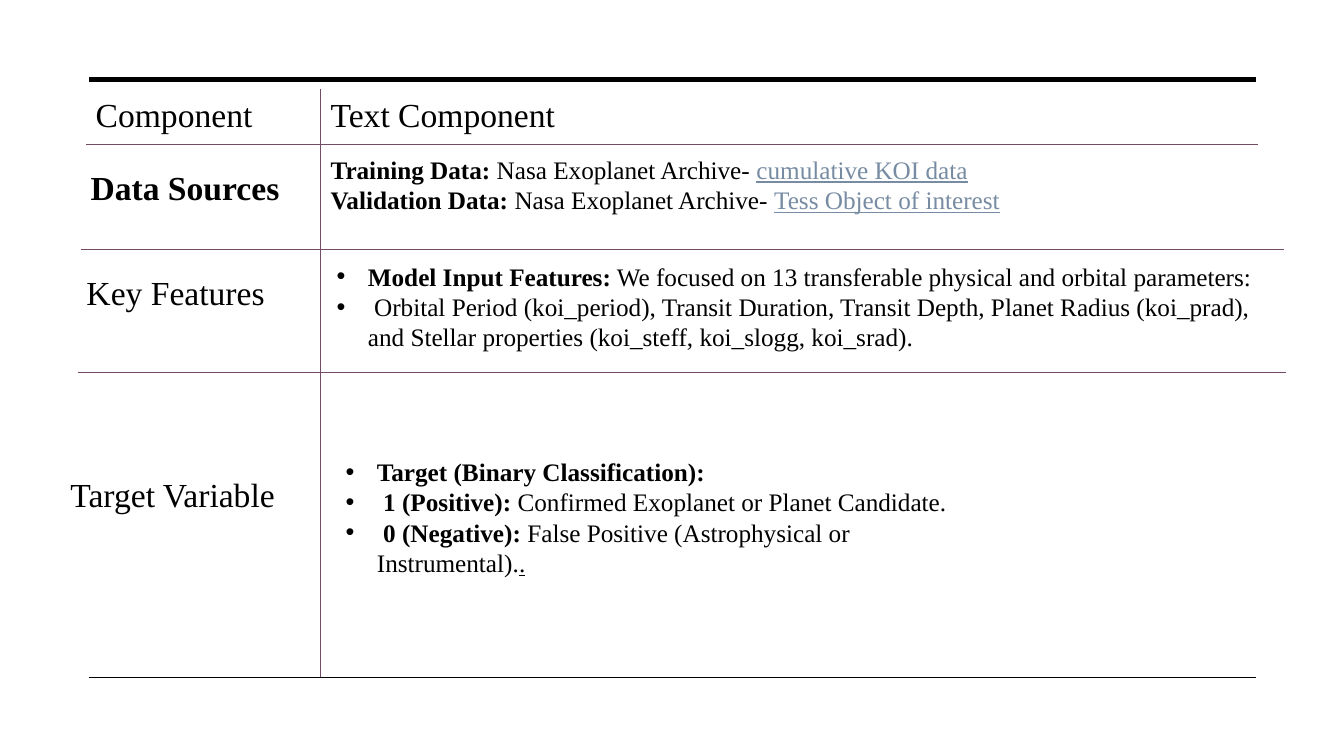
from lxml import etree
from pptx import Presentation
from pptx.dml.color import RGBColor
from pptx.enum.shapes import MSO_CONNECTOR
from pptx.enum.text import MSO_AUTO_SIZE
from pptx.oxml.ns import qn
from pptx.util import Inches, Pt

STRAIGHT = MSO_CONNECTOR.STRAIGHT
GROW = MSO_AUTO_SIZE.SHAPE_TO_FIT_TEXT
WIDTH, HEIGHT = Inches(13.33), Inches(7.5)
FONT = "Times New Roman"
BLACK, PLUM, LINK = "000000", "734B67", "778BA2"
SPLIT, TOP, END = 23.86, 11.73, 89.6
TITLE = 6.67

RULES = [
    (6.6, 10.53, 93.47, 10.53, BLACK, 3.5),
    (6.6, END, 93.47, END, BLACK, 1),
    (6.38, 19.07, 93.62, 19.07, PLUM, 0.5),
    (SPLIT, TOP, SPLIT, END, PLUM, 0.5),
    (6, 32.93, 95.5, 32.93, PLUM, 0.5),
    (5.78, 49.2, 95.65, 49.2, PLUM, 0.5),
]

HEADS = [
    ("Component", (6.38, TOP, 14.1, TITLE), ""),
    ("Text Component", (SPLIT, TOP, 23.33, TITLE), ""),
    ("Data Sources", (6, 21.47, 16.05, TITLE), "b"),
    ("Key Features", (5.7, 35.33, 16.28, TITLE), ""),
    ("Target Variable", (4.5, 62, 17.48, TITLE), ""),
]

SOURCES = [
    [("Training Data: ", "b"), ("Nasa Exoplanet Archive- ", ""),
     ("cumulative KOI data", "ul")],
    [("Validation Data: ", "b"), ("Nasa Exoplanet Archive- ", ""),
     ("Tess Object of interest", "ul")],
]

FEATURES = [
    [("Model Input Features:", "b"),
     (" We focused on 13 transferable physical and orbital parameters:", "")],
    [(" Orbital Period (koi_period), Transit Duration, Transit Depth, "
      "Planet Radius (koi_prad), and Stellar properties "
      "(koi_steff, koi_slogg, koi_srad).", "")],
]

TARGET = [
    [("Target (Binary Classification):", "b")],
    [(" ", ""), ("1 (Positive):", "b"),
     (" Confirmed Exoplanet or Planet Candidate.", "")],
    [(" ", ""), ("0 (Negative):", "b"),
     (" False Positive (Astrophysical or Instrumental).", ""), (".", "u")],
]


def color(code):
    """Turn a hex string into a colour."""
    return RGBColor.from_string(code)


def across(share):
    """Turn a percentage of the slide's width into a length."""
    return round(WIDTH * share / 100)


def down(share):
    """Turn a percentage of the slide's height into a length."""
    return round(HEIGHT * share / 100)


def add_rule(slide, x1, y1, x2, y2, tint, weight):
    """Draw a straight rule between two points."""
    rule = slide.shapes.add_connector(
        STRAIGHT, across(x1), down(y1), across(x2), down(y2))
    rule.line.color.rgb = color(tint)
    rule.line.width = Pt(weight)
    etree.SubElement(rule._element.spPr, qn("a:effectLst"))


def add_bullet(para):
    """Give a paragraph a hanging round bullet."""
    props = para._p.get_or_add_pPr()
    props.set("marL", str(Inches(0.31)))
    props.set("indent", str(Inches(-0.31)))
    etree.SubElement(props, qn("a:buFont")).set("typeface", "Arial")
    etree.SubElement(props, qn("a:buChar")).set("char", "•")


def add_text(slide, paras, area, size=18, bullet=False):
    """Write paragraphs of runs marked b (bold), u (underlined), l (link)."""
    left, top, width, height = area
    box = slide.shapes.add_textbox(
        across(left), down(top), across(width), down(height))
    frame = box.text_frame
    frame.word_wrap = True
    frame.auto_size = GROW
    for index, runs in enumerate(paras):
        para = frame.add_paragraph() if index else frame.paragraphs[0]
        if bullet:
            add_bullet(para)
        for text, marks in runs:
            run = para.add_run()
            run.text = text
            font = run.font
            font.name = FONT
            font.size = Pt(size)
            font.bold = "b" in marks
            font.underline = "u" in marks
            font.color.rgb = color(LINK if "l" in marks else BLACK)


def main():
    """Build and save the slide."""
    deck = Presentation()
    deck.slide_width, deck.slide_height = WIDTH, HEIGHT
    slide = deck.slides.add_slide(deck.slide_layouts[6])
    for rule in RULES:
        add_rule(slide, *rule)
    for text, area, marks in HEADS:
        add_text(slide, [[(text, marks)]], area, size=24)
    add_text(slide, SOURCES, (SPLIT, 19.73, 71.64, 9.47))
    add_text(slide, FEATURES, (24.31, 33.87, 69.77, 13.47), bullet=True)
    add_text(slide, TARGET, (24.98, 59.73, 50.04, 17.47), bullet=True)
    deck.save("out.pptx")


if __name__ == "__main__":
    main()
